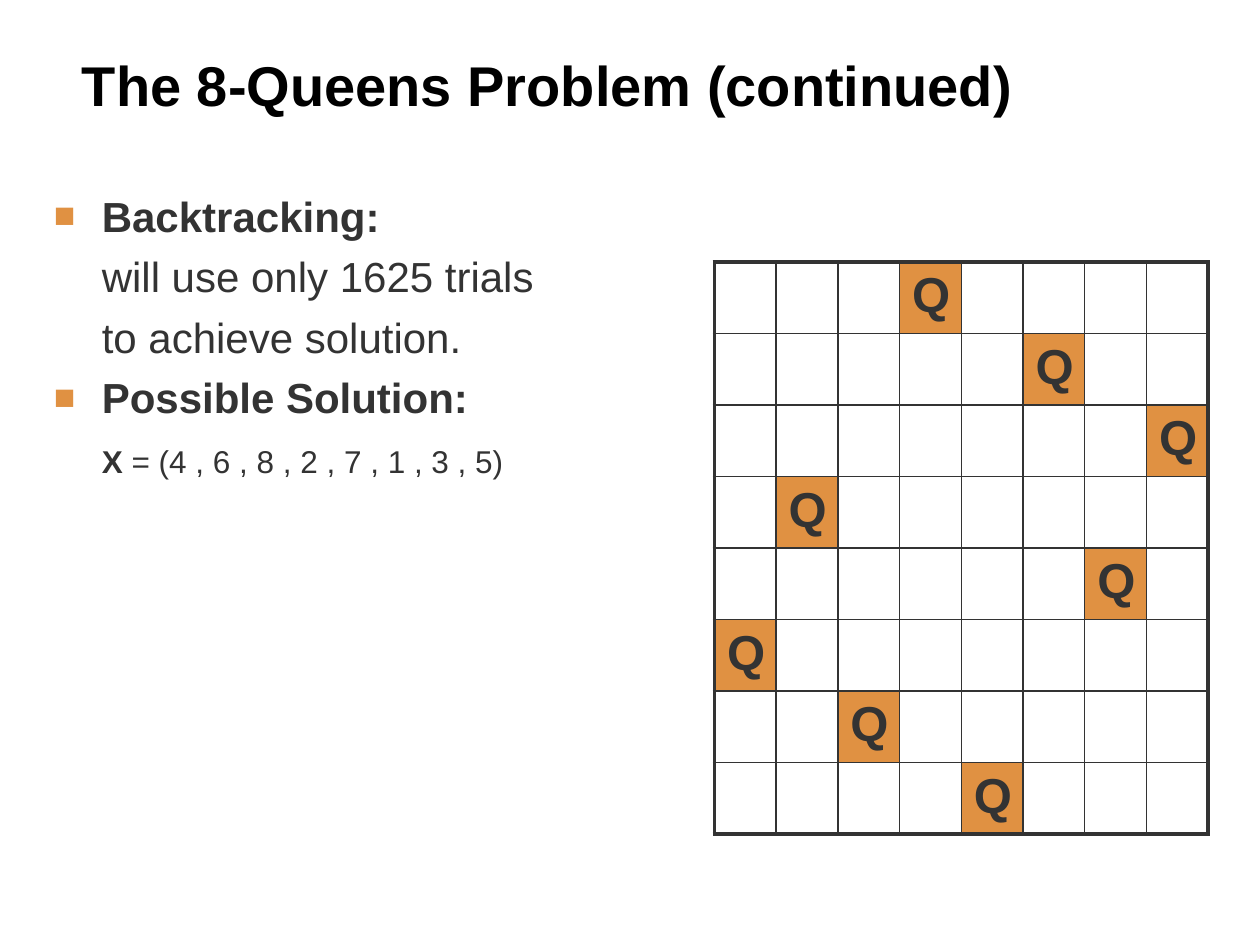
"""Build the 8-queens slide with its backtracking notes and solved board."""
from lxml.etree import SubElement
from pptx import Presentation
from pptx.dml.color import RGBColor
from pptx.enum.text import MSO_ANCHOR, PP_ALIGN
from pptx.oxml import parse_xml
from pptx.oxml.ns import nsdecls, qn
from pptx.util import Inches, Pt

TITLE = "The 8-Queens Problem (continued)"
NOTES = [
    {"bullet": True, "before": 5.8, "runs": [("Backtracking:", 24, True)]},
    {"bullet": False, "before": 5.8, "runs": [("will use only 1625 trials", 24, False)]},
    {"bullet": False, "before": 5.8, "runs": [("to achieve solution.", 24, False)]},
    {"bullet": True, "before": 5.8, "runs": [("Possible Solution:", 24, True)]},
    {"bullet": False, "before": 11.2, "runs": [
        ("X ", 18, True), ("= (4 , 6 , 8 , 2 , 7 , 1 , 3 , 5)", 18, False)]},
]
QUEENS = (4, 6, 8, 2, 7, 1, 3, 5)
SIZE = len(QUEENS)
BOARD = (5.67, 2.08, 3.92, 4.53)
INDENT = 0.38
THICK, THIN = 2.25, 1

FONT = "Arial"
BLACK = RGBColor(0x00, 0x00, 0x00)
DARK = RGBColor(0x33, 0x33, 0x33)
ORANGE = RGBColor(0xE0, 0x91, 0x42)


def add_run(p, text, size, bold, color=DARK):
    r = p.add_run()
    r.text = text
    r.font.name, r.font.size, r.font.bold = FONT, Pt(size), bold
    r.font.color.rgb = color


def set_indent(p, bullet):
    pPr = p._p.get_or_add_pPr()
    pPr.set("marL", str(Inches(INDENT)))
    pPr.set("indent", str(-Inches(INDENT) if bullet else 0))
    if bullet:
        color = SubElement(pPr, qn("a:buClr"))
        SubElement(color, qn("a:srgbClr"), val=str(ORANGE))
        SubElement(pPr, qn("a:buSzPct"), val="85000")
        SubElement(pPr, qn("a:buFont"), typeface=FONT)
        SubElement(pPr, qn("a:buChar"), char="■")


def set_borders(cell, row, col):
    edges = {"L": col == 0, "R": col == SIZE - 1, "T": row == 0, "B": row == SIZE - 1}
    tcPr = cell._tc.get_or_add_tcPr()
    for i, (side, outer) in enumerate(edges.items()):
        width = Pt(THICK if outer else THIN)
        tcPr.insert(i, parse_xml(
            f'<a:ln{side} {nsdecls("a")} w="{width}"><a:solidFill>'
            f'<a:srgbClr val="{DARK}"/></a:solidFill></a:ln{side}>'))


def add_title(s):
    sp = s.shapes.title
    sp.left, sp.top, sp.width, sp.height = map(Inches, (0.55, 0.17, 8.5, 1))
    tf = sp.text_frame
    tf.vertical_anchor = MSO_ANCHOR.MIDDLE
    p = tf.paragraphs[0]
    p.alignment = PP_ALIGN.LEFT
    add_run(p, TITLE, 32, True, BLACK)


def add_notes(s):
    tf = s.shapes.add_textbox(*map(Inches, (0.33, 1.46, 9.54, 5.2))).text_frame
    tf.word_wrap = True
    for i, note in enumerate(NOTES):
        p = tf.add_paragraph() if i else tf.paragraphs[0]
        p.space_before = Pt(note["before"])
        set_indent(p, note["bullet"])
        for run in note["runs"]:
            add_run(p, *run)


def add_board(s):
    table = s.shapes.add_table(SIZE, SIZE, *map(Inches, BOARD)).table
    table.first_row = table.horz_banding = False
    for row, queen in enumerate(QUEENS):
        for col in range(SIZE):
            cell = table.cell(row, col)
            if col == queen - 1:
                cell.fill.solid()
                cell.fill.fore_color.rgb = ORANGE
                add_run(cell.text_frame.paragraphs[0], "Q", 28, True)
            else:
                cell.fill.background()
            set_borders(cell, row, col)


def main():
    prs = Presentation()
    prs.slide_width, prs.slide_height = Inches(10), Inches(7.5)
    s = prs.slides.add_slide(prs.slide_layouts[5])
    add_title(s)
    add_notes(s)
    add_board(s)
    prs.save("out.pptx")


if __name__ == "__main__":
    main()
